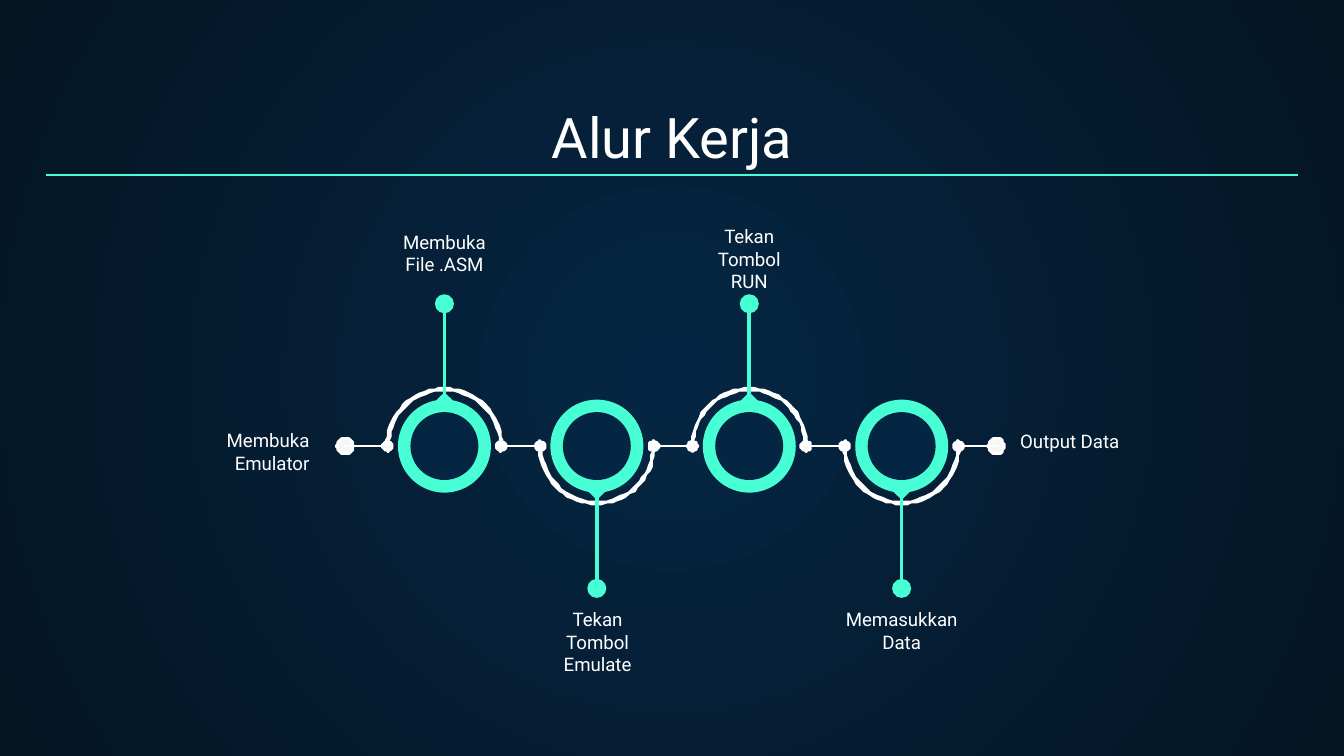
import math

import pptx
import pptx.dml.color
import pptx.enum.shapes
import pptx.enum.text
import pptx.oxml.ns
import pptx.util
from lxml import etree

Pt = pptx.util.Pt
RGB = pptx.dml.color.RGBColor
SHAPE = pptx.enum.shapes.MSO_SHAPE
ALIGN = pptx.enum.text.PP_ALIGN
ANCHOR = pptx.enum.text.MSO_ANCHOR
qn = pptx.oxml.ns.qn

TEAL = RGB(0x48, 0xFF, 0xD5)
NAVY = RGB(0x05, 0x26, 0x43)
NIGHT = RGB(0x04, 0x15, 0x23)
WHITE = RGB(0xFF, 0xFF, 0xFF)
OFF_WHITE = RGB(0xF6, 0xF6, 0xF6)

FIRST_X, STEP, AXIS_Y = 238.1, 81.65, 239
ARC_RADIUS, RING_RADIUS, HOLE_RADIUS = 30.4, 24.9, 18.2
STEM_LENGTH = 76.25
START_X, END_X = 184.8, 533.7
HALF_TRACK = 0.35


def add_centered(kind, x, y, width, height, fill):
    """Add a preset shape around the point x, y."""
    shape = slide.shapes.add_shape(
        kind, Pt(x - width / 2), Pt(y - height / 2), Pt(width), Pt(height))
    shape.shadow.inherit = False
    shape.fill.solid()
    shape.fill.fore_color.rgb = fill
    shape.line.fill.background()
    return shape


def add_line(x1, y1, x2, y2, color, width):
    line = slide.shapes.add_connector(
        pptx.enum.shapes.MSO_CONNECTOR.STRAIGHT, Pt(x1), Pt(y1), Pt(x2), Pt(y2))
    line.line.color.rgb = color
    line.line.width = Pt(width)
    etree.SubElement(line._element.spPr, qn("a:effectLst"))


prs = pptx.Presentation()
prs.slide_width, prs.slide_height = Pt(720), Pt(405)
slide = prs.slides.add_slide(prs.slide_layouts[5])

# Radial background
background = slide.background.fill
background.gradient()
for stop, color, position in zip(background.gradient_stops, (NAVY, NIGHT), (0, 1)):
    stop.color.rgb = color
    stop.position = position
gradient = slide.background._cSld.find(".//" + qn("a:gradFill"))
gradient.remove(gradient.find(qn("a:lin")))
radial = etree.SubElement(gradient, qn("a:path"), path="circle")
etree.SubElement(radial, qn("a:fillToRect"), l="50000", t="50000", r="50000", b="50000")

# Title
title = slide.shapes.title
title.left, title.top, title.width, title.height = Pt(24.5), Pt(50.8), Pt(671), Pt(47.5)
heading = title.text_frame
heading.auto_size = pptx.enum.text.MSO_AUTO_SIZE.NONE
heading.vertical_anchor = ANCHOR.BOTTOM
heading.margin_left = heading.margin_right = Pt(7.2)
heading.margin_top = heading.margin_bottom = Pt(7.2)
heading.paragraphs[0].alignment = ALIGN.CENTER
run = heading.paragraphs[0].add_run()
run.text = "Alur Kerja"
run.font.name, run.font.size, run.font.color.rgb = "Roboto", Pt(30), WHITE

# White track, one outline of several contours: dots, links and half circles.
# A contour is a list of (center x, radius, degrees) or plain corner points.
centers = [FIRST_X + i * STEP for i in range(4)]
stops = [START_X]
for x in centers:
    stops += [x - ARC_RADIUS, x + ARC_RADIUS]
stops.append(END_X)

polar_contours = []
for x in stops:
    radius = 4.3 if x in (START_X, END_X) else 2.5
    polar_contours.append([(x, radius, angle) for angle in range(0, 360, 15)])
for i, x in enumerate(centers):
    angles = range(180, 361, 5) if i % 2 == 0 else range(0, 181, 5)
    outer = [(x, ARC_RADIUS + HALF_TRACK, angle) for angle in angles]
    inner = [(x, ARC_RADIUS - HALF_TRACK, angle) for angle in reversed(angles)]
    polar_contours.append(outer + inner)
contours = [
    [(x + radius * math.cos(math.radians(angle)), AXIS_Y + radius * math.sin(math.radians(angle)))
     for x, radius, angle in contour]
    for contour in polar_contours
]
for left, right in zip(stops[::2], stops[1::2]):
    top, bottom = AXIS_Y - HALF_TRACK, AXIS_Y + HALF_TRACK
    contours.append([(left, top), (right, top), (right, bottom), (left, bottom)])

outline = slide.shapes.build_freeform(*contours[0][0], scale=Pt(1))
for i, contour in enumerate(contours):
    if i:
        outline.move_to(*contour[0])
    outline.add_line_segments(contour[1:], close=True)
track = outline.convert_to_shape()
track.shadow.inherit = False
track.fill.solid()
track.fill.fore_color.rgb = OFF_WHITE
track.line.color.rgb = WHITE
track.line.width = Pt(1.5)

# Steps: ring, pointer and stem, alternately up and down
for i, x in enumerate(centers):
    side = -1 if i % 2 == 0 else 1
    stem_end = AXIS_Y + side * STEM_LENGTH
    add_centered(SHAPE.OVAL, x, AXIS_Y, 2 * RING_RADIUS, 2 * RING_RADIUS, TEAL)
    pointer = add_centered(SHAPE.ISOSCELES_TRIANGLE, x, AXIS_Y + side * 26.5, 9.4, 4.6, TEAL)
    pointer.rotation = 0 if side < 0 else 180
    add_line(x, AXIS_Y + side * (HOLE_RADIUS + 2), x, stem_end, TEAL, 1.95)
    add_centered(SHAPE.OVAL, x, stem_end, 10.2, 10.2, TEAL)
    add_centered(SHAPE.OVAL, x, AXIS_Y, 2 * HOLE_RADIUS, 2 * HOLE_RADIUS, NAVY)

# Labels: left, top, width, alignment, paragraphs
labels = [
    (centers[0] - 31.3, 116.4, 62.6, ALIGN.CENTER, ["Membuka File .ASM"]),
    (centers[1] - 27.1, 318.6, 55, ALIGN.CENTER, ["Tekan Tombol Emulate"]),
    (centers[2] - 27.5, 113.4, 55, ALIGN.CENTER, ["Tekan Tombol RUN"]),
    (centers[3] - 39.2, 318.6, 78.4, ALIGN.CENTER, ["Memasukkan Data"]),
    (103, 222.7, 69.8, ALIGN.RIGHT, ["Membuka", "Emulator"]),
    (539.5, 224.2, 69.8, ALIGN.LEFT, ["Output Data"]),
]
for left, top, width, alignment, lines in labels:
    label = slide.shapes.add_textbox(Pt(left), Pt(top), Pt(width), Pt(15.1)).text_frame
    label.word_wrap = True
    label.vertical_anchor = ANCHOR.TOP
    label.margin_left = label.margin_right = Pt(7.2)
    label.margin_top = label.margin_bottom = Pt(7.2)
    for i, text in enumerate(lines):
        paragraph = label.paragraphs[0] if i == 0 else label.add_paragraph()
        paragraph.alignment = alignment
        run = paragraph.add_run()
        run.text = text
        run.font.name, run.font.size, run.font.color.rgb = "Roboto", Pt(10), WHITE

add_line(24.5, 93.75, 695.5, 93.75, TEAL, 0.75)

prs.save("out.pptx")
